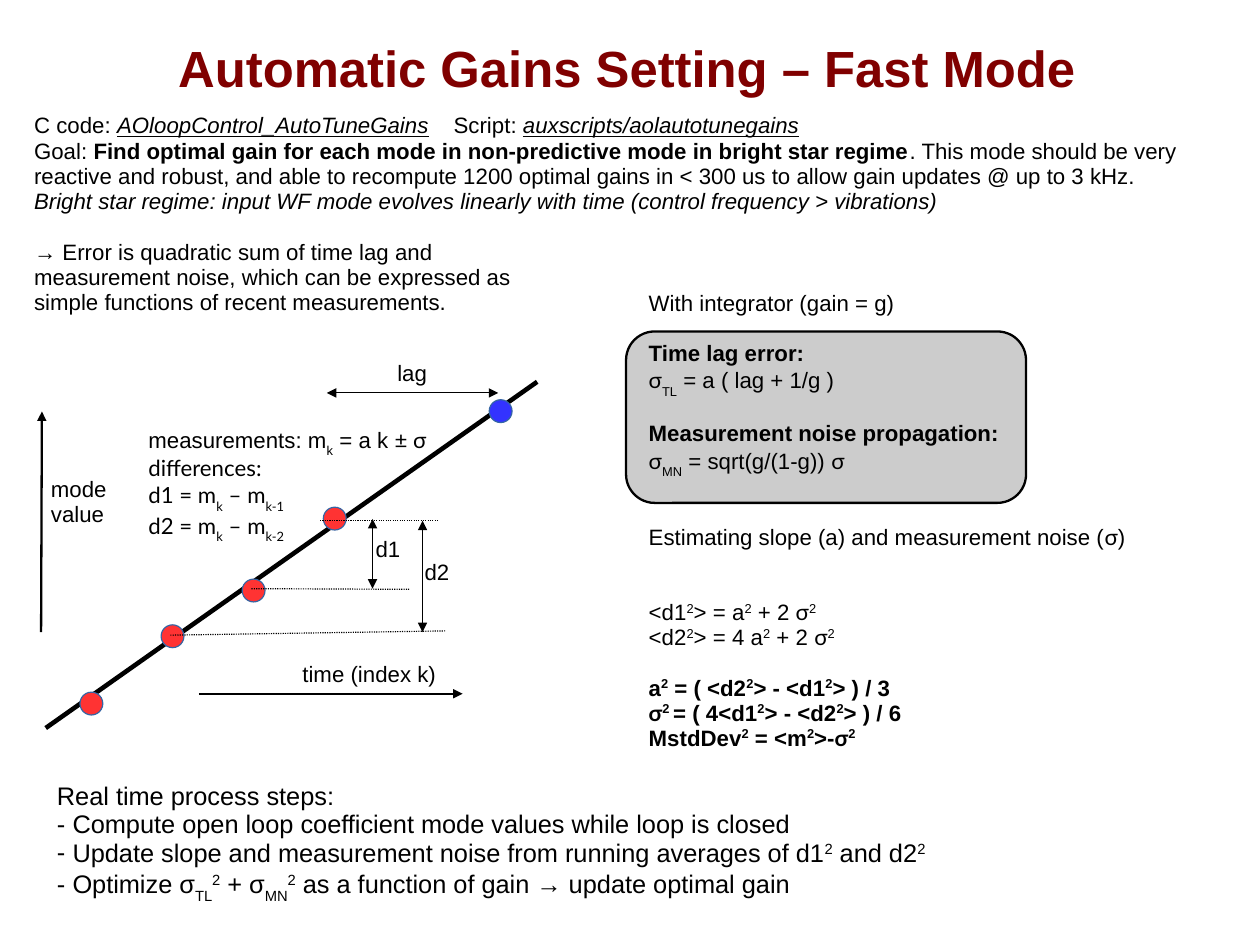
from dataclasses import dataclass
from typing import Any

from pptx import Presentation
from pptx.dml.color import RGBColor
from pptx.enum.dml import MSO_LINE
from pptx.enum.shapes import MSO_CONNECTOR, MSO_SHAPE
from pptx.enum.text import MSO_ANCHOR, MSO_AUTO_SIZE, PP_ALIGN
from pptx.oxml.ns import qn
from pptx.oxml.xmlchemy import OxmlElement
from pptx.util import Pt

DOTTED = MSO_LINE.ROUND_DOT
STRAIGHT = MSO_CONNECTOR.STRAIGHT
ELLIPSE, ROUNDED = MSO_SHAPE.OVAL, MSO_SHAPE.ROUNDED_RECTANGLE
TOP, MIDDLE = MSO_ANCHOR.TOP, MSO_ANCHOR.MIDDLE
NO_FIT = MSO_AUTO_SIZE.NONE
LEFT, CENTER = PP_ALIGN.LEFT, PP_ALIGN.CENTER


@dataclass(frozen=True)
class Theme:
    ink: str = "000000"
    title: str = "800000"
    panel: str = "CCCCCC"
    measured: str = "FF3333"
    current: str = "3333FF"
    dot_edge: str = "3465A4"
    font: str = "Arial"
    math_font: str = "Lato"
    title_size: float = 32
    text_size: float = 14
    steps_size: float = 16
    spacing: float = 0.94
    thin: float = 0.75
    medium: float = 1.45
    thick: float = 2.89


THEME = Theme()
PAGE_WIDTH, PAGE_HEIGHT = 793.75, 595.25
BLANK_LINE = 15.75  # height of one skipped text line
DASH_INDENT = 9.8
WIDE_SPACING = "1170"  # letter spacing in hundredths of a point
DOT_SIZE = 14.4


# Line text: "|" parts the spans; a span may open with style marks:
# _ subscript, ^ superscript, * bold, / italic, ! underline, ~ math font, & wide
@dataclass(frozen=True)
class Line:
    text: str
    bold: bool = False
    font: str = THEME.font
    before: float = 0
    dash: bool = False


@dataclass(frozen=True)
class TextBlock:
    left: float
    top: float
    width: float
    height: float
    lines: tuple[Line, ...]


@dataclass(frozen=True)
class Stroke:
    start: tuple[float, float]
    end: tuple[float, float]
    weight: float = THEME.thin
    head: bool = False
    tail: bool = False
    dotted: bool = False


@dataclass(frozen=True)
class Dot:
    left: float
    top: float
    color: str = THEME.measured


def rgb(color: str) -> RGBColor:
    return RGBColor.from_string(color)


def place(box: Any, left: float, top: float, width: float, height: float) -> None:
    box.left, box.top, box.width, box.height = Pt(left), Pt(top), Pt(width), Pt(height)


def write_spans(para: Any, line: Line, size: float) -> None:
    for part in line.text.split("|"):
        words = part.lstrip("_^*/!~&")
        marks = part[:len(part) - len(words)]
        span = para.add_run()
        span.text = words
        font = span.font
        font.size, font.color.rgb = Pt(size), rgb(THEME.ink)
        font.name = THEME.math_font if "~" in marks else line.font
        font.bold = line.bold or "*" in marks
        font.italic, font.underline = "/" in marks, "!" in marks
        props = span._r.get_or_add_rPr()
        if "_" in marks or "^" in marks:
            props.set("baseline", "-33000" if "_" in marks else "33000")
        if "&" in marks:
            props.set("spc", WIDE_SPACING)


def write_lines(box: Any, lines: tuple[Line, ...], size: float) -> None:
    frame = box.text_frame
    frame.word_wrap, frame.auto_size, frame.vertical_anchor = True, NO_FIT, TOP
    for index, line in enumerate(lines):
        para = frame.add_paragraph() if index else frame.paragraphs[0]
        props = para._p.get_or_add_pPr()
        indent = Pt(DASH_INDENT) if line.dash else 0
        props.set("marL", str(indent))
        props.set("indent", str(-indent))
        bullet = OxmlElement("a:buChar" if line.dash else "a:buNone")
        if line.dash:
            bullet.set("char", "-")
        props.append(bullet)
        para.alignment, para.line_spacing = LEFT, THEME.spacing
        para.space_before, para.space_after = Pt(line.before), Pt(0)
        write_spans(para, line, size)


def draw_shape(page: Any, kind: Any, area: tuple[float, float, float, float],
               fill: str, edge: str, weight: float) -> None:
    shape = page.shapes.add_shape(kind, *map(Pt, area))
    shape.shadow.inherit = False
    shape.fill.solid()
    shape.fill.fore_color.rgb = rgb(fill)
    shape.line.color.rgb, shape.line.width = rgb(edge), Pt(weight)


def draw_stroke(page: Any, stroke: Stroke) -> None:
    connector = page.shapes.add_connector(STRAIGHT, *map(Pt, stroke.start + stroke.end))
    connector.line.color.rgb, connector.line.width = rgb(THEME.ink), Pt(stroke.weight)
    if stroke.dotted:
        connector.line.dash_style = DOTTED
    props = connector._element.spPr
    for tag, wanted in (("a:headEnd", stroke.head), ("a:tailEnd", stroke.tail)):
        if wanted:
            arrow = OxmlElement(tag)
            arrow.set("type", "triangle")
            props.find(qn("a:ln")).append(arrow)
    props.append(OxmlElement("a:effectLst"))


TEXT_BLOCKS = (
    TextBlock(14.4, 68.2, 756, 110, (
        Line("C code: |/!AOloopControl_AutoTuneGains|& |Script: |/!auxscripts/aolautotunegains"),
        Line("Goal: |*Find optimal gain for each mode in non-predictive mode in bright star regime"
             "|. This mode should be very reactive and robust, and able to recompute 1200 optimal "
             "gains in < 300 us to allow gain updates @ up to 3 kHz."),
        Line("/Bright star regime: input WF mode evolves linearly with time "
             "(control frequency > vibrations)"))),
    TextBlock(14.4, 148.1, 338.4, 64.8, (
        Line("→ Error is quadratic sum of time lag and measurement noise, which can be "
             "expressed as simple functions of recent measurements."),)),
    TextBlock(183.4, 413.7, 110, 24, (Line("time (index k)"),)),
    TextBlock(25, 297.1, 57.6, 39.6, (Line("mode value"),)),
    TextBlock(86.4, 265, 205, 85, (
        Line("measurements: m|_k| = a k |~± σ"),
        Line("differences:", font=THEME.math_font),
        Line("d1 = m|_k| – m|_k-1", font=THEME.math_font),
        Line("d2 = m|_k| – m|_k-2", font=THEME.math_font))),
    TextBlock(243.2, 224.3, 45, 24, (Line("lag"),)),
    TextBlock(229.5, 334.8, 40, 24, (Line("d1"),)),
    TextBlock(260.4, 349.2, 40, 24, (Line("d2"),)),
    TextBlock(401.6, 180, 260, 127.4, (
        Line("With integrator (gain = g)"),
        Line("Time lag error:", bold=True, before=BLANK_LINE),
        Line("~σ|_TL| = a ( lag + 1/g )"),
        Line("Measurement noise propagation:", bold=True, before=BLANK_LINE),
        Line("~σ|_MN| = sqrt(g/(1-g)) |~σ"))),
    TextBlock(401.6, 327.6, 340, 162, (
        Line("Estimating slope (a) and measurement noise (|~σ|)"),
        Line("<d1|^2|> = a|^2| + 2 |~σ|^2", before=2 * BLANK_LINE),
        Line("<d2|^2|> = 4 a|^2| + 2 |~σ|^2"),
        Line("a|^2| = ( <d2|^2|> - <d1|^2|> ) / 3", bold=True, before=BLANK_LINE),
        Line("~σ|^2 |= ( 4<d1|^2|> - <d2|^2|> ) / 6", bold=True),
        Line("MstdDev|^2| = <m|^2|>-|~σ|^2", bold=True))),
)
STEPS = TextBlock(28.7, 489.2, 600, 85, (
    Line("Real time process steps:"),
    Line("Compute open loop coefficient mode values while loop is closed", dash=True),
    Line("Update slope and measurement noise from running averages of d1|^2| and d2|^2", dash=True),
    Line("Optimize σ|_TL|^2| + σ|_MN|^2| as a function of gain → update optimal gain", dash=True)))

TREND = Stroke((28.8, 458.6), (338.4, 240.5), THEME.thick)
DOTS = tuple(Dot(50.4 + 51.1 * index, top) for index, top in
             enumerate((436, 393.6, 364.8, 319.5))) + (Dot(308.2, 251.8, THEME.current),)
STROKES = (
    Stroke((125.3, 437), (291.4, 437), THEME.medium, tail=True),  # time axis
    Stroke((25.9, 398.2), (26.4, 259.2), THEME.medium, tail=True),  # mode value axis
    Stroke((205.9, 247.5), (313.9, 247.5), head=True, tail=True),  # lag
    Stroke((234.7, 326.9), (234.7, 370.8), head=True, tail=True),  # d1
    Stroke((266.2, 328), (266.2, 398.2), head=True, tail=True),  # d2
    Stroke((201.6, 328), (275.8, 328), dotted=True),
    Stroke((158.4, 370.8), (257.8, 371.2), dotted=True),
    Stroke((107.3, 400.1), (280.8, 397.4), dotted=True),
)


def main() -> None:
    deck = Presentation()
    deck.slide_width, deck.slide_height = Pt(PAGE_WIDTH), Pt(PAGE_HEIGHT)
    page = deck.slides.add_slide(deck.slide_layouts[1])

    # Title
    title = page.shapes.title
    place(title, 39.6, 23.8, 711.4, 41)
    frame = title.text_frame
    frame.text = "Automatic Gains Setting – Fast Mode"
    frame.auto_size, frame.vertical_anchor = NO_FIT, MIDDLE
    frame.margin_left = frame.margin_right = frame.margin_top = frame.margin_bottom = 0
    para = frame.paragraphs[0]
    para.alignment, para.line_spacing = CENTER, THEME.spacing
    font = para.runs[0].font
    font.name, font.size, font.bold = THEME.font, Pt(THEME.title_size), True
    font.color.rgb = rgb(THEME.title)

    # Process steps
    body = page.placeholders[1]
    place(body, STEPS.left, STEPS.top, STEPS.width, STEPS.height)
    write_lines(body, STEPS.lines, THEME.steps_size)

    # Error panel and measurement diagram
    draw_shape(page, ROUNDED, (394.4, 208.8, 252, 108), THEME.panel, THEME.ink, THEME.medium)
    draw_stroke(page, TREND)
    for dot in DOTS:
        draw_shape(page, ELLIPSE, (dot.left, dot.top, DOT_SIZE, DOT_SIZE),
                   dot.color, THEME.dot_edge, THEME.thin)
    for stroke in STROKES:
        draw_stroke(page, stroke)

    # Explanations, labels and formulas
    for block in TEXT_BLOCKS:
        box = page.shapes.add_textbox(*map(Pt, (block.left, block.top, block.width, block.height)))
        write_lines(box, block.lines, THEME.text_size)

    deck.save("out.pptx")


if __name__ == "__main__":
    main()
